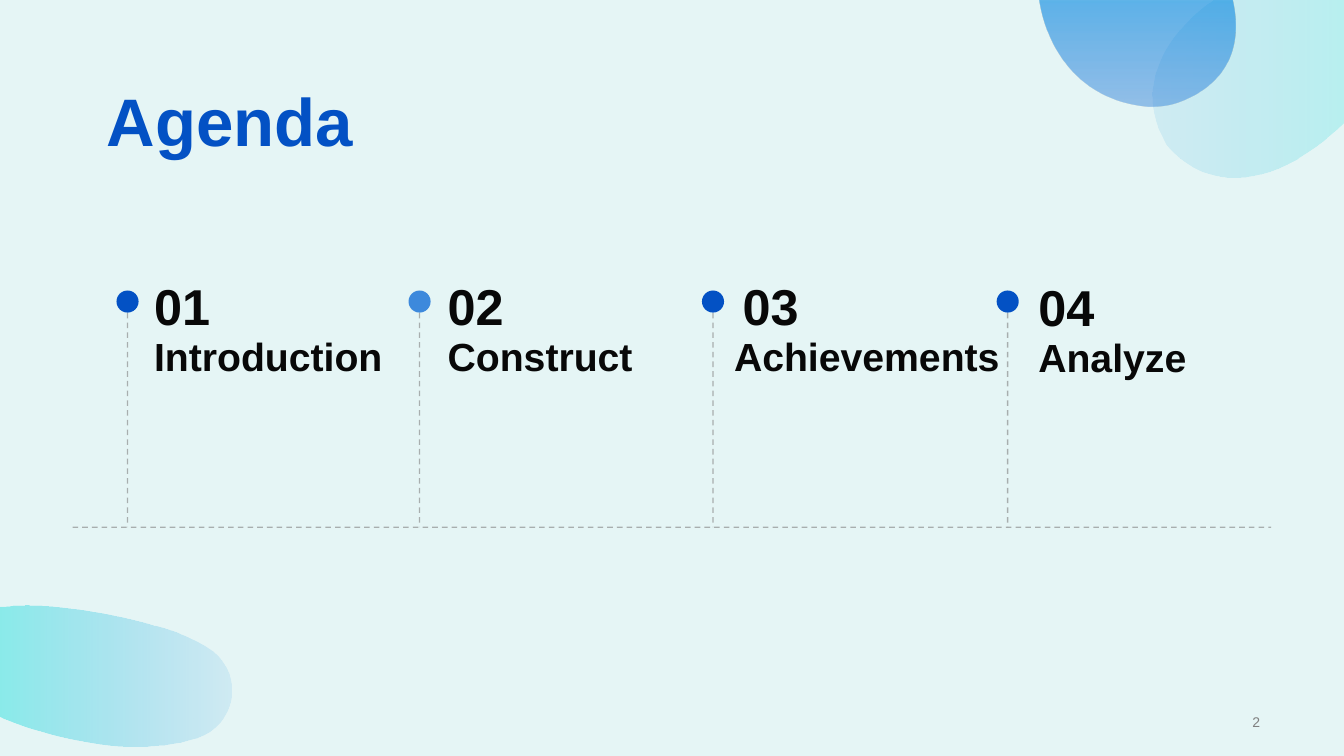
import pptx
import pptx.util
import pptx.dml.color
import pptx.enum.dml
import pptx.enum.shapes
import pptx.enum.text
import pptx.oxml
import pptx.oxml.ns

Pt = pptx.util.Pt
qn = pptx.oxml.ns.qn
Align = pptx.enum.text.PP_ALIGN
Anchor = pptx.enum.text.MSO_ANCHOR
Fit = pptx.enum.text.MSO_AUTO_SIZE

BLUE, SKY, INK, GRAY = "0351C4", "136ED6", "080808", "808080"
RULE_Y = 376.6
STEPS = [
    ("01", "Introduction", 91.1, 103, 103, 192.2, BLUE, 100),
    ("02", "Construct", 299.7, 312.7, 312.7, 192.2, SKY, 80),
    ("03", "Achievements", 509.3, 523.4, 517.2, 192.2, BLUE, 100),
    ("04", "Analyze", 719.8, 734.6, 734.6, 193, BLUE, 100),
]
BLOBS = [
    ([(866.2, 0.7),
      (866.2, 0.7), (797.8, 43.9), (833, 103),
      (833, 103), (878.4, 167), (962.6, 85),
      (962.6, 0.7), (962.6, 0.7), (962.6, 0.7)],
     [(0, "01DCDA", 20), (1, "0487E2", 10)], 180),
    ([(742.3, 0.7),
      (742.3, 0.7), (749.5, 69.8), (820, 76.3),
      (828, 76.3), (835.2, 75.6), (842.4, 72.7),
      (860.4, 66.2), (890.6, 47.5), (880, 0.7)],
     [(0, "0487E2", 60), (0.95, SKY, 40)], 270),
    ([(0, 512),
      (0, 512), (81.4, 547.2), (140.4, 527),
      (167.8, 517.7), (174.2, 483.1), (152, 465.1),
      (144.7, 460), (136, 455), (123.8, 450.7),
      (123.8, 450.7), (52.6, 427), (0, 433.4)],
     [(0, "01DCDA", 40), (1, "0487E2", 10)], 0),
]


def rgb(code):
    """Turn a hex string into a colour."""
    return pptx.dml.color.RGBColor.from_string(code)


def make(tag, rest=""):
    """Make an empty drawing element."""
    return pptx.oxml.parse_xml(
        f'<a:{tag} {pptx.oxml.ns.nsdecls("a")} {rest}/>')


def fade(shape, levels):
    """Set the opacity in percent of each colour in turn."""
    for tag, level in zip(shape._element.iter(qn("a:srgbClr")), levels):
        if level < 100:
            tag.append(make("alpha", f'val="{level * 1000}"'))


def bend(shape):
    """Turn each three straight segments into one cubic curve."""
    lines = list(shape._element.iter(qn("a:lnTo")))
    for i in range(0, len(lines), 3):
        arc = make("cubicBezTo")
        lines[i].addprevious(arc)
        for line in lines[i:i + 3]:
            arc.append(line[0])
            line.getparent().remove(line)


def add_blob(slide, nodes, stops, angle):
    """Draw a curved shape with a see-through gradient."""
    first, *rest = [(Pt(x), Pt(y)) for x, y in nodes]
    pen = slide.shapes.build_freeform(*first)
    pen.add_line_segments(rest, close=True)
    blob = pen.convert_to_shape()
    bend(blob)
    blob.shadow.inherit = False
    blob.line.fill.background()
    blob.fill.gradient()
    blob.fill.gradient_angle = angle
    for stop, (place, code, _) in zip(blob.fill.gradient_stops, stops):
        stop.position = place
        stop.color.rgb = rgb(code)
    fade(blob, [level for _, _, level in stops])


def add_line(slide, x1, y1, x2, y2):
    """Draw a dashed gray line."""
    line = slide.shapes.add_connector(
        pptx.enum.shapes.MSO_CONNECTOR.STRAIGHT, Pt(x1), Pt(y1), Pt(x2), Pt(y2))
    line.line.color.rgb = rgb(GRAY)
    line.line.width = Pt(1)
    line.line.dash_style = pptx.enum.dml.MSO_LINE.DASH
    fade(line, [60])
    line._element.spPr.append(make("effectLst"))


def add_dot(slide, x, y, code, level, size=15.8):
    """Draw a round marker centred on a point."""
    dot = slide.shapes.add_shape(
        pptx.enum.shapes.MSO_SHAPE.OVAL,
        Pt(x - size / 2), Pt(y - size / 2), Pt(size), Pt(size))
    dot.shadow.inherit = False
    dot.line.fill.background()
    dot.fill.solid()
    dot.fill.fore_color.rgb = rgb(code)
    fade(dot, [level])


def add_text(slide, words, box, size, code, bold=True, anchor=Anchor.BOTTOM,
             align=Align.LEFT, space=None, fit=Fit.SHAPE_TO_FIT_TEXT):
    """Place one line of text."""
    frame = slide.shapes.add_textbox(*map(Pt, box)).text_frame
    frame.word_wrap = True
    frame.auto_size = fit
    frame.vertical_anchor = anchor
    para = frame.paragraphs[0]
    para.text = words
    para.alignment = align
    if space:
        para.line_spacing = Pt(space)
    font = para.font
    font.name, font.size, font.bold = "Arial", Pt(size), bold
    font.color.rgb = rgb(code)


def add_step(slide, mark, name, x, left, side, top, code, level):
    """Draw one agenda step with its stem, dot and texts."""
    add_line(slide, x, 223.5, x, RULE_Y)
    add_dot(slide, x, 215.4, code, level)
    add_text(slide, name, (side, top + 60.3, 217.4, 25.2), 28, INK,
             anchor=Anchor.TOP, space=15)
    add_text(slide, mark, (left, top, 167.8, 51), 36, INK)


def main():
    """Build the agenda slide."""
    deck = pptx.Presentation()
    deck.slide_width, deck.slide_height = Pt(960), Pt(540)
    slide = deck.slides.add_slide(deck.slide_layouts[6])
    slide.background.fill.solid()
    slide.background.fill.fore_color.rgb = rgb("E5F5F5")
    for blob in BLOBS:
        add_blob(slide, *blob)
    add_text(slide, "2", (697.7, 506.9, 209.5, 17.3), 10, GRAY, bold=False,
             anchor=Anchor.MIDDLE, align=Align.RIGHT, fit=Fit.NONE)
    add_line(slide, 51.8, RULE_Y, 907.9, RULE_Y)
    for step in STEPS:
        add_step(slide, *step)
    add_text(slide, "Agenda", (69.1, 52.6, 280, 65.5), 48, BLUE)
    deck.save("out.pptx")


if __name__ == "__main__":
    main()
